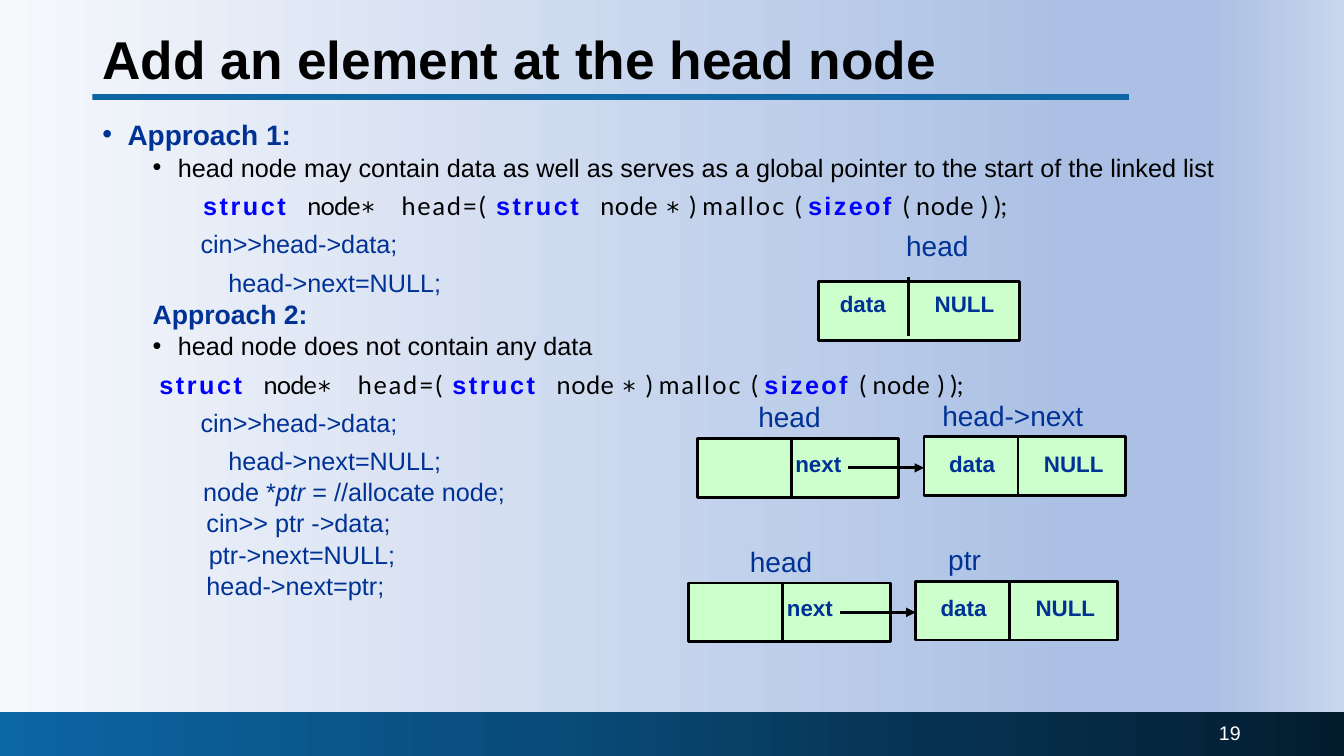
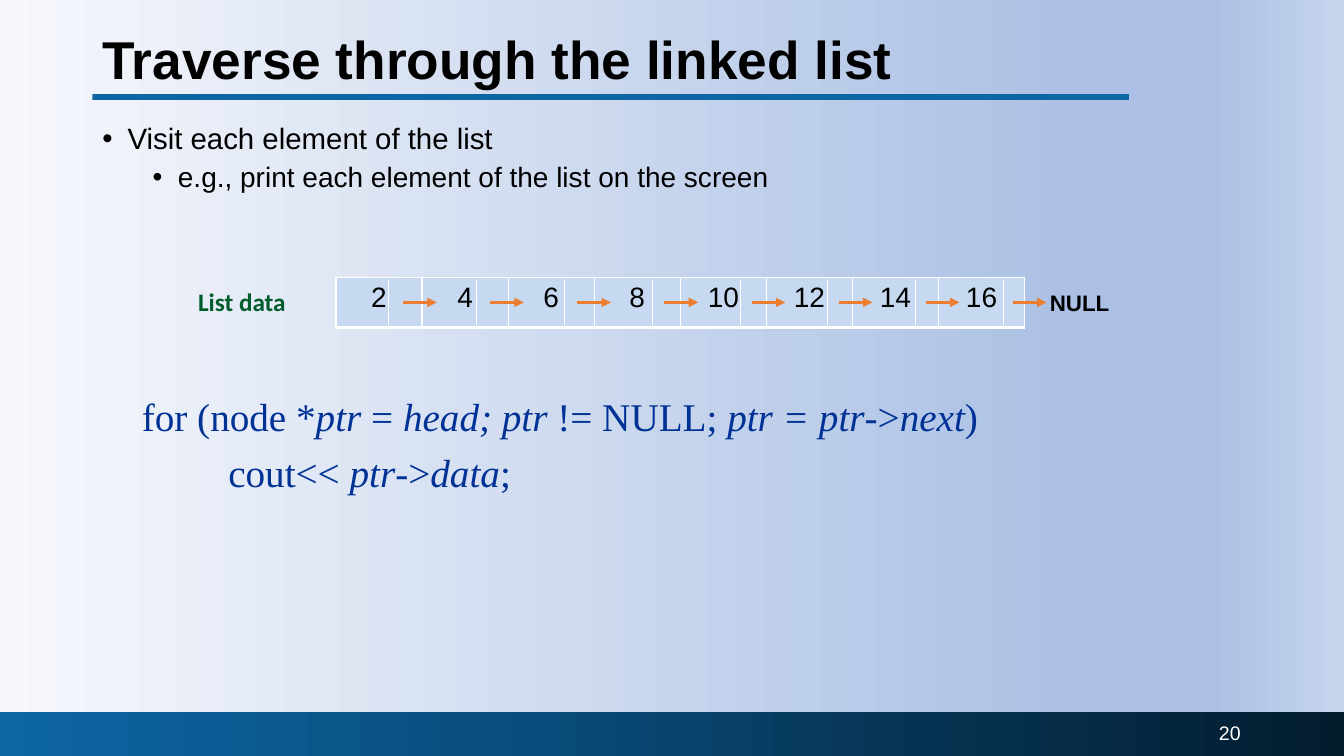
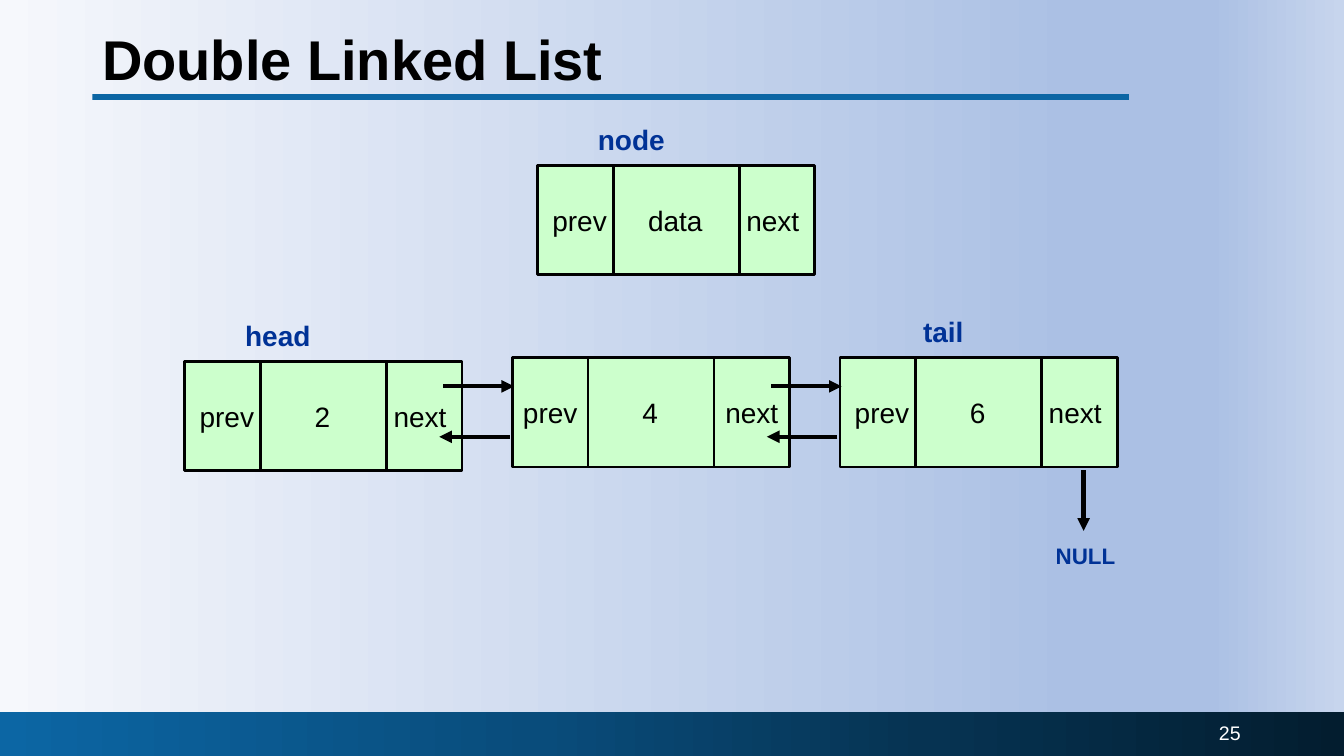
from lxml import etree
from pptx import Presentation
from pptx.dml.color import RGBColor
from pptx.enum.shapes import MSO_CONNECTOR, MSO_SHAPE
from pptx.enum.text import MSO_ANCHOR, PP_ALIGN
from pptx.oxml.ns import qn
from pptx.util import Inches, Pt

RECTANGLE = MSO_SHAPE.RECTANGLE
STRAIGHT = MSO_CONNECTOR.STRAIGHT
TOP, MIDDLE = MSO_ANCHOR.TOP, MSO_ANCHOR.MIDDLE
LEFT, CENTER, RIGHT = PP_ALIGN.LEFT, PP_ALIGN.CENTER, PP_ALIGN.RIGHT

SLIDE_WIDTH, SLIDE_HEIGHT = Inches(13.333), Inches(7.5)
COLUMN, ROW = SLIDE_WIDTH / 160, SLIDE_HEIGHT / 90
BODY_BOX = (11, 14.2, 138, 67.7)

COLORS = {
    "black": "000000", "white": "FFFFFF", "navy": "003296", "keyword": "0000FF",
    "rule": "0C66A4", "node": "CCFFCC", "cell": "C6D9F1", "arrow": "ED7D31",
    "green": "005C2A",
}
PAGE_STOPS = [(0, "F6F8FC"), (80, "ABC0E4"), (90, "ABC0E4"), (100, "C7D5ED")]
FOOTER_STOPS = [(0, "0C66A4"), (40, "094C7B"), (69, "063352"), (100, "031D2F")]
LABEL_WIDTHS = {
    "head": 11.5, "head->next": 20.5, "ptr": 7.5, "data": 9, "next": 9,
    "NULL": 10.5, "node": 11.5, "tail": 8.5,
}
CODE_STYLES = {
    "keyword": ("Arial", "keyword", True),
    "plain": ("Lato", "black", False),
    "star": ("DejaVu Sans Mono", "black", False),
}
MALLOC_CODE = [
    ("struct", "keyword", 1.8), (" ", "keyword", 8.6), ("node", "plain", -0.6),
    ("∗", "star", -0.6), (" ", "star", 7.6), ("head=( ", "plain", 1.3),
    ("struct", "keyword", 1.8), (" ", "keyword", 8.6), ("node ", "plain", 0.4),
    ("∗ ", "star", -4.5), (") ", "plain", -0.1), ("malloc ", "plain", 1.5),
    ("( ", "plain", -0.1), ("sizeof ", "keyword", 1.7), ("( ", "plain", -0.1),
    ("node ", "plain", 0.4), (") );", "plain", -0.1),
]


def color(name):
    """Return the palette colour with this name."""
    return RGBColor.from_string(COLORS[name])


def place(left, top, width, height):
    """Turn columns and rows into slide lengths."""
    return round(left * COLUMN), round(top * ROW), round(width * COLUMN), round(height * ROW)


def set_gradient(fill, element, stops):
    """Fill from left to right with the given colour stops."""
    fill.gradient()
    fill.gradient_angle = 0
    stop_list = element.find(".//" + qn("a:gsLst"))
    for stop in list(stop_list):
        stop_list.remove(stop)
    for position, value in stops:
        stop = etree.SubElement(stop_list, qn("a:gs"), pos=str(position * 1000))
        etree.SubElement(stop, qn("a:srgbClr"), val=value)


def set_font(font, size, ink="black", bold=False, name="Arial"):
    """Set size, colour, weight and typeface."""
    font.size, font.bold, font.name = Pt(size), bold, name
    font.color.rgb = color(ink)


def add_box(slide, box, fill, line=None):
    """Add a plain rectangle."""
    shape = slide.shapes.add_shape(RECTANGLE, *place(*box))
    shape.shadow.inherit = False
    shape.fill.solid()
    shape.fill.fore_color.rgb = color(fill)
    if line:
        shape.line.color.rgb = color(line)
        shape.line.width = Pt(2)
    else:
        shape.line.fill.background()
    return shape


def add_line(slide, start, span, ink="black", width=2, arrow=False):
    """Draw a straight line from a grid point across a span."""
    left, top, across, down = place(*start, *span)
    connector = slide.shapes.add_connector(STRAIGHT, left, top, left + across, top + down)
    connector.line.color.rgb = color(ink)
    connector.line.width = Pt(width)
    properties = connector.element.spPr
    if arrow:
        etree.SubElement(properties.find(qn("a:ln")), qn("a:tailEnd"), type="triangle")
    etree.SubElement(properties, qn("a:effectLst"))


def add_frame(slide, box, anchor=TOP):
    """Add an empty text box and return its text frame."""
    frame = slide.shapes.add_textbox(*place(*box)).text_frame
    frame.word_wrap = True
    frame.vertical_anchor = anchor
    return frame


def add_text(slide, box, text, size, ink="black", bold=False, name="Arial",
             align=LEFT, anchor=TOP):
    """Add a text box with one evenly styled paragraph."""
    paragraph = add_frame(slide, box, anchor).paragraphs[0]
    paragraph.text = text
    paragraph.alignment = align
    set_font(paragraph.font, size, ink, bold, name)
    return paragraph


def add_label(slide, left, top, text, size=16, ink="navy", bold=True):
    """Add a one-word label with room for its word."""
    box = (left, top, LABEL_WIDTHS[text], size * 0.27)
    add_text(slide, box, text, size, ink, bold)


def next_paragraph(frame, indent, before, spacing, bullet=False):
    """Start a paragraph indented by columns, with or without a bullet."""
    paragraph = frame.paragraphs[0]
    if paragraph.runs:
        paragraph = frame.add_paragraph()
    paragraph.line_spacing = spacing
    paragraph.space_before = Pt(before)
    properties = paragraph._p.get_or_add_pPr()
    properties.set("marL", str(round(indent * COLUMN)))
    properties.set("indent", str(round(-3 * COLUMN) if bullet else 0))
    if bullet:
        etree.SubElement(properties, qn("a:buFont"), typeface="Arial")
        etree.SubElement(properties, qn("a:buChar"), char="•")
    return paragraph


def add_italic_runs(paragraph, parts):
    """Add runs that alternate between upright and italic."""
    for index, part in enumerate(parts):
        run = paragraph.add_run()
        run.text = part
        if index % 2:
            run.font.italic = True


def add_code_runs(paragraph):
    """Add the spaced, coloured allocation statement."""
    for text, style, spacing in MALLOC_CODE:
        run = paragraph.add_run()
        run.text = text
        name, ink, bold = CODE_STYLES[style]
        set_font(run.font, 18, ink, bold, name)
        run._r.get_or_add_rPr().set("spc", str(round(spacing * 100)))


def start_slide(presentation, title, number, title_size=38):
    """Add a slide with footer band, title, rule and page number."""
    slide = presentation.slides.add_slide(presentation.slide_layouts[6])
    footer = add_box(slide, (0, 84.75, 160, 5.25), "rule")
    set_gradient(footer.fill, footer.element, FOOTER_STOPS)
    add_box(slide, (11, 11.2, 123.4, 0.7), "rule")
    heading = add_text(slide, (11, 1.4, 138, 12.1), title, title_size, bold=True, anchor=MIDDLE)
    heading.line_spacing = 0.9
    add_text(slide, (112.9, 84.8, 36, 4.8), str(number), 14, "white", align=RIGHT, anchor=MIDDLE)
    return slide


def single_node(slide, left, top, name, name_offset, labels, drop=1,
                divider=11.2, name_rise=5.2, divider_rise=0):
    """Draw a two-part node with a name above it."""
    add_box(slide, (left, top, 24, 7), "node", "black")
    add_line(slide, (left + divider, top - divider_rise), (0, 7))
    add_label(slide, left + name_offset, top - name_rise, name, 20, bold=False)
    for offset, text in labels:
        add_label(slide, left + offset, top + drop, text)


def linked_pair(slide, left, top, name, name_offset):
    """Draw a head node that points to a last node."""
    single_node(slide, left, top, "head", 6.1, [(10.5, "next")], 0.8)
    single_node(slide, left + 27, top - 0.2, name, name_offset, [(1.8, "data"), (13.1, "NULL")])
    add_line(slide, (left + 18, top + 3.5), (9, 0), width=2.25, arrow=True)


def approaches(slide, box):
    """Write the two approaches with their code."""
    frame = add_frame(slide, box)
    lines = [
        (3, 10, True, 20, "navy", True, ["Approach 1:"]),
        (9, 5, True, 18, "black", False,
         ["head node may contain data as well as serves as a global pointer "
          "to the start of the linked list"]),
        (12, 10, False, 18, "black", False, None),
        (11.7, 10, False, 18, "navy", False, ["cin>>head->data;"]),
        (15, 10, False, 18, "navy", False, ["head->next=NULL;"]),
        (6, 5, False, 19, "navy", True, ["Approach 2:"]),
        (9, 5, True, 18, "black", False, ["head node does not contain any data"]),
        (6.8, 10, False, 18, "black", False, None),
        (11.7, 10, False, 18, "navy", False, ["cin>>head->data;"]),
        (15, 10, False, 18, "navy", False, ["head->next=NULL;"]),
        (12, 5, False, 18, "navy", False, ["node *", "ptr", " = //allocate node;"]),
        (12.4, 5, False, 18, "navy", False, ["cin>> ptr ->data;"]),
        (12.7, 5, False, 18, "navy", False, ["ptr->next=NULL;"]),
        (12.4, 5, False, 18, "navy", False, ["head->next=ptr;"]),
    ]
    for indent, before, bullet, size, ink, bold, parts in lines:
        paragraph = next_paragraph(frame, indent, before, 0.8, bullet)
        if parts:
            set_font(paragraph.font, size, ink, bold)
            add_italic_runs(paragraph, parts)
        else:
            add_code_runs(paragraph)


def list_table(slide, left, top, width, height, values):
    """Draw the list as a one-row table with a link out of every cell."""
    count = len(values)
    table = slide.shapes.add_table(1, count, *place(left, top, width, height)).table
    table.first_row = table.horz_banding = False
    for cell, value in zip(table.iter_cells(), values):
        cell.fill.solid()
        cell.fill.fore_color.rgb = color("cell")
        paragraph = cell.text_frame.paragraphs[0]
        paragraph.text = str(value)
        paragraph.alignment = CENTER
        set_font(paragraph.font, 20)
        properties = cell._tc.get_or_add_tcPr()
        for index, (side, points) in enumerate(zip("LRTB", (1, 1, 1, 3))):
            border = etree.Element(qn("a:ln" + side), w=str(Pt(points)))
            solid = etree.SubElement(border, qn("a:solidFill"))
            etree.SubElement(solid, qn("a:srgbClr"), val=COLORS["white"])
            properties.insert(index, border)
    for index in range(count):
        add_line(slide, (left + 6.3 + 10.45 * index, top + 0.3), (0, 5.4), "white", 0.75)
        start = (left + 8 + 10.37 * index, top + height / 2)
        add_line(slide, start, (4, 0), "arrow", 2.25, arrow=True)


def traversal_text(slide, box):
    """Write the bullets and the loop that visits the list."""
    frame = add_frame(slide, box)
    for indent, before, size, text in [
        (3, 10, 21, "Visit each element of the list"),
        (9, 5, 20, "e.g., print each element of the list on the screen"),
    ]:
        paragraph = next_paragraph(frame, indent, before, 0.9, True)
        paragraph.add_run().text = text
        set_font(paragraph.font, size)
    left, top, width, height = box
    code = add_frame(slide, (left, top + 0.48 * height, width, 0.22 * height))
    for indent, parts in [
        (4.7, ["for (node *", "ptr", " = ", "head; ptr", " != NULL; ",
               "ptr = ptr", "->", "next", ")"]),
        (15, ["cout<< ", "ptr", "->", "data", ";"]),
    ]:
        paragraph = next_paragraph(code, indent, 10, 0.9)
        set_font(paragraph.font, 28, "navy", name="Times New Roman")
        add_italic_runs(paragraph, parts)


def double_node(slide, left, top, value, name=None, name_offset=6, pull=0.5):
    """Draw a three-part node, named when a name is given."""
    width, height = 33, 13
    add_box(slide, (left, top, width, height), "node", "black")
    for divider in (9, 24):
        add_line(slide, (left + divider, top), (0, height))
    for text, center in [("prev", 4.5 + pull), (value, 16.4), ("next", 28.5 - pull)]:
        box = (left + center - 5, top, 10, height)
        add_text(slide, box, text, 20, align=CENTER, anchor=MIDDLE)
    if name:
        add_label(slide, left + name_offset, top - 5.7, name, 20)


def head_slide(presentation):
    """Build the slide on adding an element at the head."""
    slide = start_slide(presentation, "Add an element at the head node", 19)
    approaches(slide, BODY_BOX)
    single_node(slide, 97.4, 33.5, "head", 9.3, [(1.4, "data"), (12.7, "NULL")],
                0.5, 10.8, 6.9, 0.5)
    linked_pair(slide, 83, 52.2, "head->next", 1)
    linked_pair(slide, 82, 69.4, "ptr", 2.7)


def traverse_slide(presentation):
    """Build the slide on traversing the list."""
    slide = start_slide(presentation, "Traverse through the linked list", 20)
    traversal_text(slide, BODY_BOX)
    list_table(slide, 40, 33, 82, 6, range(2, 17, 2))
    add_text(slide, (22.4, 33.5, 16, 4.8), "List data", 18, "green", True, "Calibri")
    add_label(slide, 123.8, 33.8, "NULL", ink="black")


def double_slide(presentation):
    """Build the slide on the double linked list."""
    slide = start_slide(presentation, "Double Linked List", 25, 40)
    double_node(slide, 64, 19.7, "data", "node")
    double_node(slide, 22, 43, "2", "head")
    double_node(slide, 61, 42.6, "4", pull=0)
    double_node(slide, 100, 42.6, "6", "tail", 8.7)
    for left in (61, 100):
        add_line(slide, (left - 8.2, 46), (8.4, 0), width=3, arrow=True)
        add_line(slide, (left - 0.3, 52), (-8.4, 0), width=3, arrow=True)
    add_line(slide, (129, 56), (0, 7.2), width=3, arrow=True)
    add_label(slide, 124.5, 64, "NULL")


def main():
    """Build and save the presentation."""
    presentation = Presentation()
    presentation.slide_width, presentation.slide_height = SLIDE_WIDTH, SLIDE_HEIGHT
    master = presentation.slide_master
    set_gradient(master.background.fill, master.element, PAGE_STOPS)
    for build in (head_slide, traverse_slide, double_slide):
        build(presentation)
    presentation.save("out.pptx")


if __name__ == "__main__":
    main()
